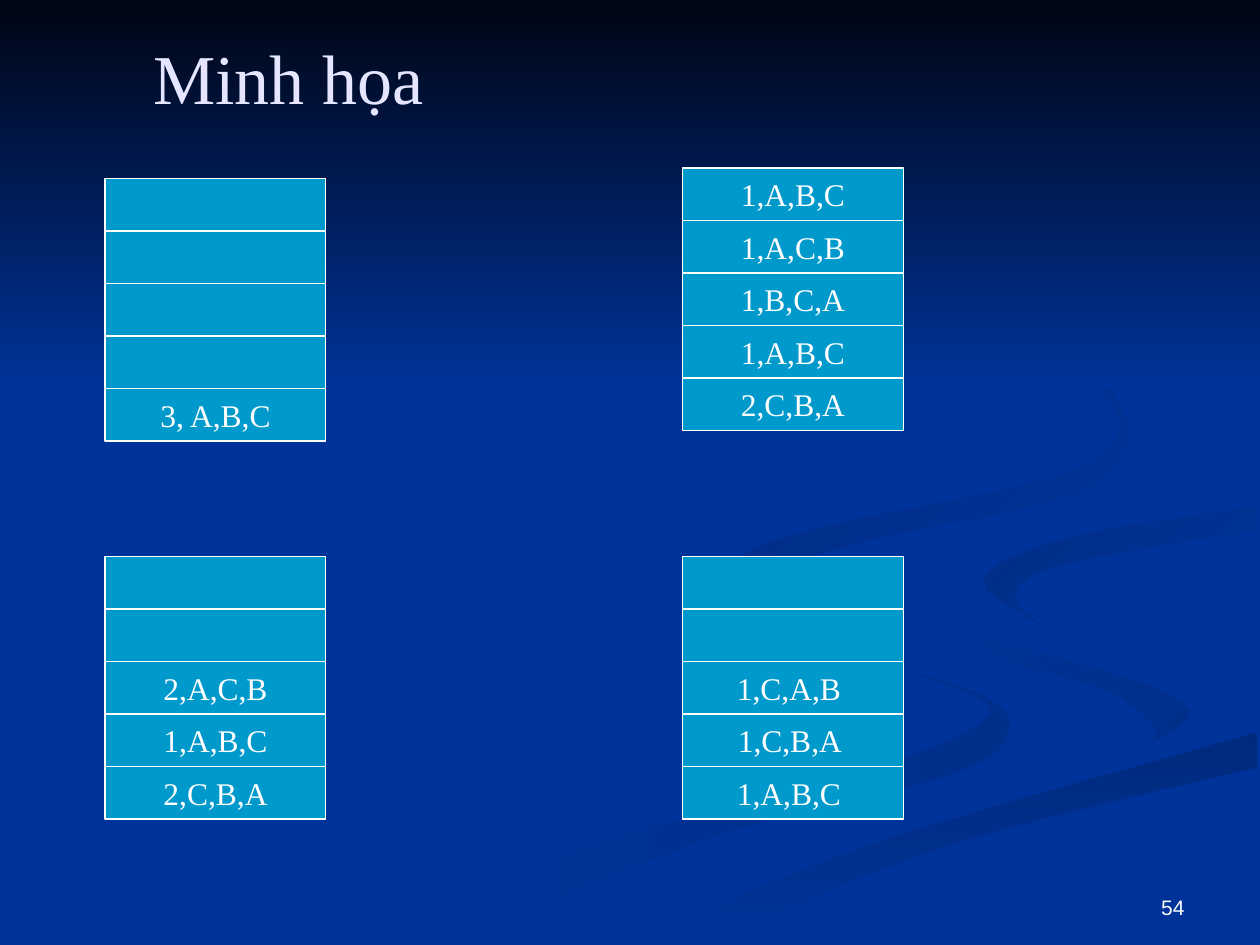
"""Build the "Minh họa" slide: four stacks of ranked ballots over a ribbon background."""
from pptx import Presentation
from pptx.dml.color import RGBColor
from pptx.enum.shapes import MSO_SHAPE
from pptx.enum.text import MSO_ANCHOR, PP_ALIGN
from pptx.util import Cm, Pt

RECT = MSO_SHAPE.RECTANGLE
MIDDLE, BOTTOM = MSO_ANCHOR.MIDDLE, MSO_ANCHOR.BOTTOM
CENTER, RIGHT = PP_ALIGN.CENTER, PP_ALIGN.RIGHT
COLORS = {
    "blue": "003399", "night": "000514", "cell": "0099CC", "white": "FFFFFF", "title": "E5E5FF",
    "shade1": "002E8B", "shade2": "002A7D", "shade3": "002D86", "shade4": "002B82",
}
FORMATS = {
    "title": {"size": Pt(40), "name": "Times New Roman"},
    "cell": {"size": Pt(18), "name": "Times New Roman"},
    "number": {"size": Pt(12), "name": "Arial"},
}
UNIT = Cm(2.54) / 100
STEPS = 5
RIBBONS = [
    ("blue", "shade1", 0, [
        [(575, 459), (594, 485), (682, 519), (781, 553), (800, 581), (756, 614), (564, 665),
         (361, 749)],
        [(300, 749), (458, 674), (684, 613), (786, 566), (715, 530), (602, 495), (570, 472)]]),
    ("blue", "shade1", 45, [
        [(724, 464), (745, 490), (850, 524), (919, 547), (943, 570), (894, 605)],
        [(894, 605), (918, 581), (880, 549), (797, 524), (733, 488)]]),
    ("shade2", "blue", 90, [
        [(503, 749), (630, 693), (764, 647), (998, 581)],
        [(998, 609), (785, 661), (649, 710), (571, 749)]]),
    ("blue", "blue", 0, [
        [(477, 749), (619, 684), (843, 618), (943, 570), (905, 540), (759, 498), (725, 464),
         (770, 427), (851, 411), (999, 387)],
        [(999, 402), (850, 427), (781, 463), (832, 498), (999, 538)],
        [(999, 581), (765, 647), (630, 693), (503, 749)]]),
    ("shade3", "blue", 45, [
        [(998, 402), (849, 427), (781, 460), (826, 496)],
        [(826, 496), (805, 472), (843, 448), (998, 420)]]),
    ("shade4", "blue", 45, [
        [(762, 233), (864, 291), (894, 344), (855, 391), (683, 430), (596, 461), (622, 500)],
        [(622, 500), (577, 462), (625, 426), (842, 378), (889, 335), (846, 279)]]),
    ("night", "blue", 90, [[(0, 0), (1000, 0)], [(1000, 308), (0, 308)]]),
]
STACKS = [
    (2.12, 3.6, ["", "", "", "", "3, A,B,C"]),
    (13.76, 3.39, ["1,A,B,C", "1,A,C,B", "1,B,C,A", "1,A,B,C", "2,C,B,A"]),
    (2.12, 11.22, ["", "", "2,A,C,B", "1,A,B,C", "2,C,B,A"]),
    (13.76, 11.22, ["", "", "1,C,A,B ", "1,C,B,A ", "1,A,B,C "]),
]
CELL_W, CELL_H = Cm(4.45), Cm(5.29) // 5


def smooth(edge):
    ends = [edge[0], *edge, edge[-1]]
    curve = [edge[0]]
    for quad in zip(ends, ends[1:], ends[2:], ends[3:]):
        for step in range(1, STEPS + 1):
            t = step / STEPS
            curve.append(tuple(
                b + t * (c - a + t * (2 * a - 5 * b + 4 * c - d + t * (3 * b - a - 3 * c + d))) / 2
                for a, b, c, d in zip(*quad)))
    return curve


def write(sp, text, fmt, color, align, anchor, wrap):
    tf = sp.text_frame
    tf.word_wrap, tf.vertical_anchor = wrap, anchor
    p = tf.paragraphs[0]
    p.alignment = align
    r = p.add_run()
    r.text = text
    for name, value in FORMATS[fmt].items():
        setattr(r.font, name, value)
    r.font.color.rgb = RGBColor.from_string(COLORS[color])


prs = Presentation()
prs.slide_width, prs.slide_height = Cm(25.4), Cm(19.05)
s = prs.slides.add_slide(prs.slide_layouts[6])
s.background.fill.solid()
s.background.fill.fore_color.rgb = RGBColor.from_string(COLORS["blue"])

for start, end, angle, edges in RIBBONS:
    points = [point for edge in edges for point in smooth(edge)]
    fb = s.shapes.build_freeform(*points[0], scale=UNIT)
    fb.add_line_segments(points[1:], close=True)
    sp = fb.convert_to_shape()
    sp.shadow.inherit = False
    sp.line.fill.background()
    sp.fill.gradient()
    sp.fill.gradient_angle = -angle % 360
    for stop, color, position in zip(sp.fill.gradient_stops, (start, end), (0, 1)):
        stop.color.rgb = RGBColor.from_string(COLORS[color])
        stop.position = position

title = s.shapes.add_textbox(Cm(1.27), Cm(0.76), Cm(9.09), Cm(1.57))
write(title, "Minh họa", "title", "title", CENTER, MIDDLE, True)
number = s.shapes.add_textbox(Cm(18.21), Cm(17.35), Cm(5.92), Cm(1.32))
write(number, "54", "number", "white", RIGHT, BOTTOM, True)

for left, top, ballots in STACKS:
    for row, ballot in enumerate(ballots):
        sp = s.shapes.add_shape(RECT, Cm(left), Cm(top) + row * CELL_H, CELL_W, CELL_H)
        sp.shadow.inherit = False
        sp.fill.solid()
        sp.fill.fore_color.rgb = RGBColor.from_string(COLORS["cell"])
        sp.line.color.rgb = RGBColor.from_string(COLORS["white"])
        sp.line.width = Pt(0.75)
        if ballot:
            write(sp, ballot, "cell", "white", CENTER, MIDDLE, False)

prs.save("out.pptx")
